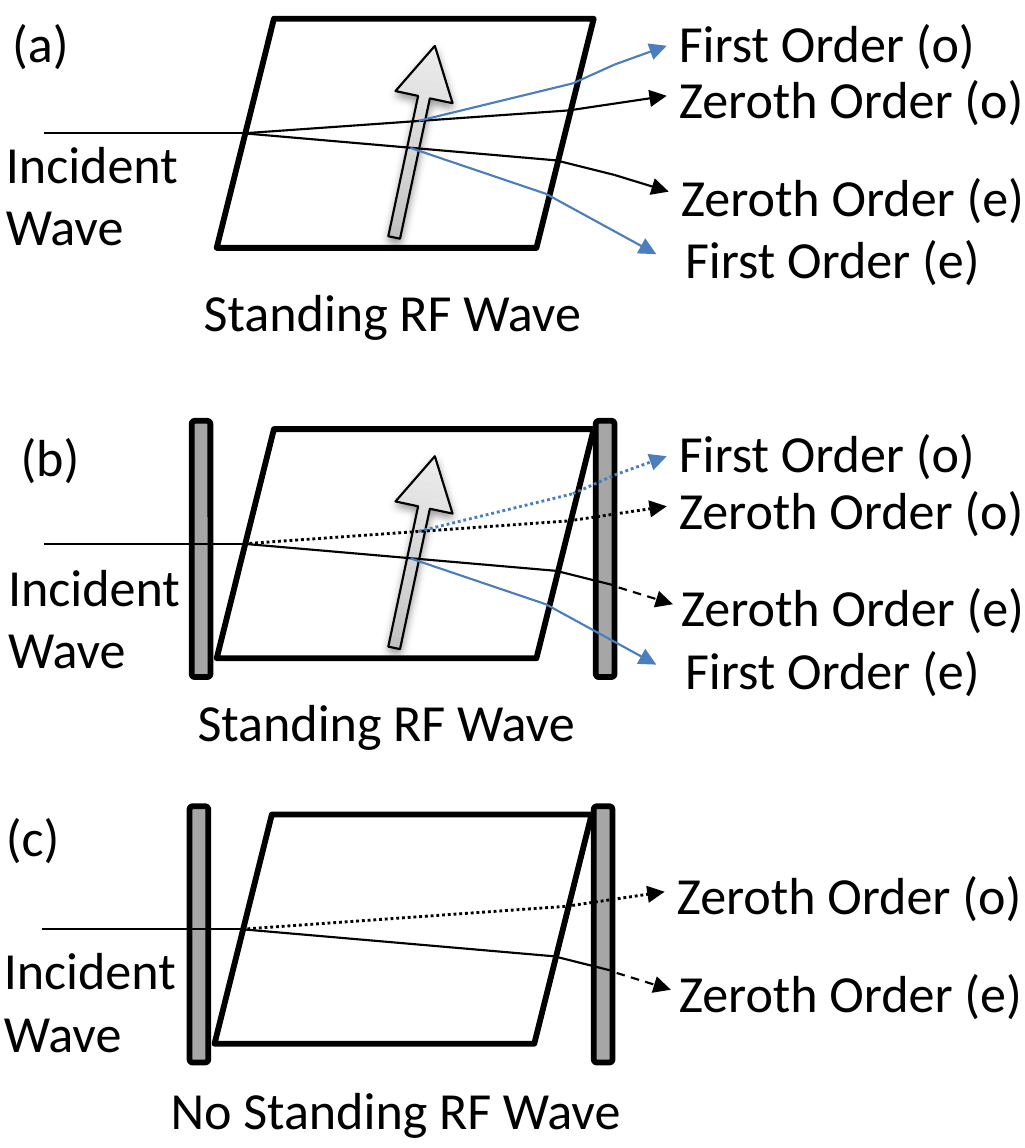
from copy import deepcopy

from lxml.etree import SubElement
from pptx import Presentation
from pptx.dml.color import RGBColor
from pptx.enum.dml import MSO_LINE as DASH
from pptx.enum.shapes import MSO_CONNECTOR, MSO_SHAPE as SHAPE
from pptx.oxml.ns import qn
from pptx.util import Inches, Pt

WIDTH, HEIGHT = 4.92, 5.51
BLACK, BLUE, GREY, WHITE = "000000", "4B7EBC", "A6A6A6", "FFFFFF"
ARROW_STOPS = ((0, "BDBDBD"), (0.35, "D1D1D1"), (1, "EEEEEE"))

# Ray points and label places, relative to the panel's origin
ENTRY = (1.17, 0.64)
INCIDENT = [(0.21, 0.64), ENTRY]
ZEROTH_O = [ENTRY, (2.73, 0.53), (3.2, 0.46)]
ZEROTH_E = [ENTRY, (2.67, 0.77), (2.95, 0.84)]
ZEROTH_E_END = [(2.95, 0.84), (3.21, 0.92)]
ZEROTH_E_BEHIND_PLATE = [(2.97, 0.85), (3.23, 0.93)]
FIRST_O = [(2.01, 0.58), (2.75, 0.4), (2.95, 0.31), (3.2, 0.22)]
FIRST_E = [(1.97, 0.71), (2.62, 0.93), (3.15, 1.22)]
ZEROTH_LABELS = (("Zeroth Order (o)", 3.16, 0.27), ("Zeroth Order (e)", 3.17, 0.74))
FIRST_LABELS = (("First Order (o)", 3.16, 0), ("First Order (e)", 3.19, 1.04))


def color(hex_code):
    """Turn a hex string into a colour."""
    return RGBColor.from_string(hex_code)


def add_label(slide, text, left, top, width=1.88, height=0.4, wrap=False):
    """Add a line or block of 18 pt text."""
    label = slide.shapes.add_textbox(*map(Inches, (left, top, width, height)))
    label.text_frame.word_wrap = wrap
    label.text_frame.text = text
    font = label.text_frame.paragraphs[0].runs[0].font
    font.name, font.size = "Calibri", Pt(18)
    font.color.rgb = color(BLACK)


def add_outlined(slide, preset, left, top, width, height, fill, weight=2):
    """Add a black-edged preset shape without shadow."""
    part = slide.shapes.add_shape(preset, *map(Inches, (left, top, width, height)))
    part.shadow.inherit = False
    part.fill.solid()
    part.fill.fore_color.rgb = color(fill)
    part.line.color.rgb = color(BLACK)
    part.line.width = Pt(weight)
    return part


def add_rf_arrow(slide, left, top):
    """Add the tilted, shaded arrow that stands for the RF wave."""
    arrow = add_outlined(slide, SHAPE.UP_ARROW, left, top, 0.28, 0.94, WHITE, 0.75)
    arrow.rotation = 12
    arrow.adjustments[0], arrow.adjustments[1] = 0.205, 0.899
    arrow.fill.gradient()
    arrow.fill.gradient_angle = 90
    properties = arrow._element.spPr
    stop_list = properties.find(".//" + qn("a:gsLst"))
    stop_list.append(deepcopy(stop_list[0]))
    for stop, (position, shade) in zip(arrow.fill.gradient_stops, ARROW_STOPS):
        stop.position = position
        stop.color.rgb = color(shade)
    shadow = SubElement(properties.find(qn("a:effectLst")), qn("a:outerShdw"),
                        blurRad=str(Pt(3.1)), dist=str(Pt(1.6)),
                        dir="5400000", rotWithShape="0")
    shade = SubElement(shadow, qn("a:srgbClr"), val=BLACK)
    SubElement(shade, qn("a:alpha"), val="38000")


def add_ray(slide, origin, points, hue=BLACK, dash=None, arrow=True):
    """Draw a ray through the points, with an arrowhead on its last part."""
    left, top = origin
    places = [(Inches(left + x), Inches(top + y)) for x, y in points]
    for start, end in zip(places, places[1:]):
        segment = slide.shapes.add_connector(MSO_CONNECTOR.STRAIGHT, *start, *end)
        segment.line.color.rgb = color(hue)
        segment.line.width = Pt(1 if dash == DASH.ROUND_DOT else 0.75)
        if dash:
            segment.line.dash_style = dash
        SubElement(segment._element.spPr, qn("a:effectLst"))
    if arrow:
        SubElement(segment.line._get_or_add_ln(), qn("a:tailEnd"), type="triangle")


def add_panel(slide, origin, letter, letter_at, incident_at, caption, caption_at,
              plates=True, rf_wave=True):
    """Draw a crystal with its rays, labels and optional plates and RF wave."""
    left, top = origin
    if plates:
        for plate_left in (0.92, 2.86):
            add_outlined(slide, SHAPE.ROUNDED_RECTANGLE, left + plate_left,
                         top + 0.05, 0.09, 1.23, GREY)
    add_outlined(slide, SHAPE.PARALLELOGRAM, left + 1.04, top + 0.09, 1.81, 1.1, WHITE)
    if rf_wave:
        add_rf_arrow(slide, left + 1.85, top + 0.21)

    ordinary_dash = DASH.ROUND_DOT if plates else None
    add_ray(slide, origin, INCIDENT, arrow=False)
    add_ray(slide, origin, ZEROTH_O, dash=ordinary_dash)
    add_ray(slide, origin, ZEROTH_E, arrow=False)
    if plates:
        add_ray(slide, origin, ZEROTH_E_BEHIND_PLATE, dash=DASH.DASH)
    else:
        add_ray(slide, origin, ZEROTH_E_END)
    if rf_wave:
        add_ray(slide, origin, FIRST_O, BLUE, ordinary_dash)
        add_ray(slide, origin, FIRST_E, BLUE)

    for text, x, y in ZEROTH_LABELS + (FIRST_LABELS if rf_wave else ()):
        add_label(slide, text, left + x, top + y)
    add_label(slide, caption, *caption_at, width=2.39 if "No" in caption else 2.03)
    add_label(slide, "Incident Wave", *incident_at, width=1.08, height=0.71, wrap=True)
    add_label(slide, letter, *letter_at, width=1.08, wrap=True)


def main():
    """Build the three-panel slide."""
    deck = Presentation()
    deck.slide_width, deck.slide_height = Inches(WIDTH), Inches(HEIGHT)
    slide = deck.slides.add_slide(deck.slide_layouts[6])
    add_panel(slide, (0, 0), "(a)", (-0.04, 0), (-0.07, 0.58),
              "Standing RF Wave", (0.88, 1.29), plates=False)
    add_panel(slide, (0, 1.97), "(b)", (0, 1.99), (-0.06, 2.61),
              "Standing RF Wave", (0.85, 3.26))
    add_panel(slide, (-0.01, 3.82), "(c)", (-0.07, 3.81), (-0.08, 4.45),
              "No Standing RF Wave", (0.72, 5.12), rf_wave=False)
    deck.save("out.pptx")


main()
